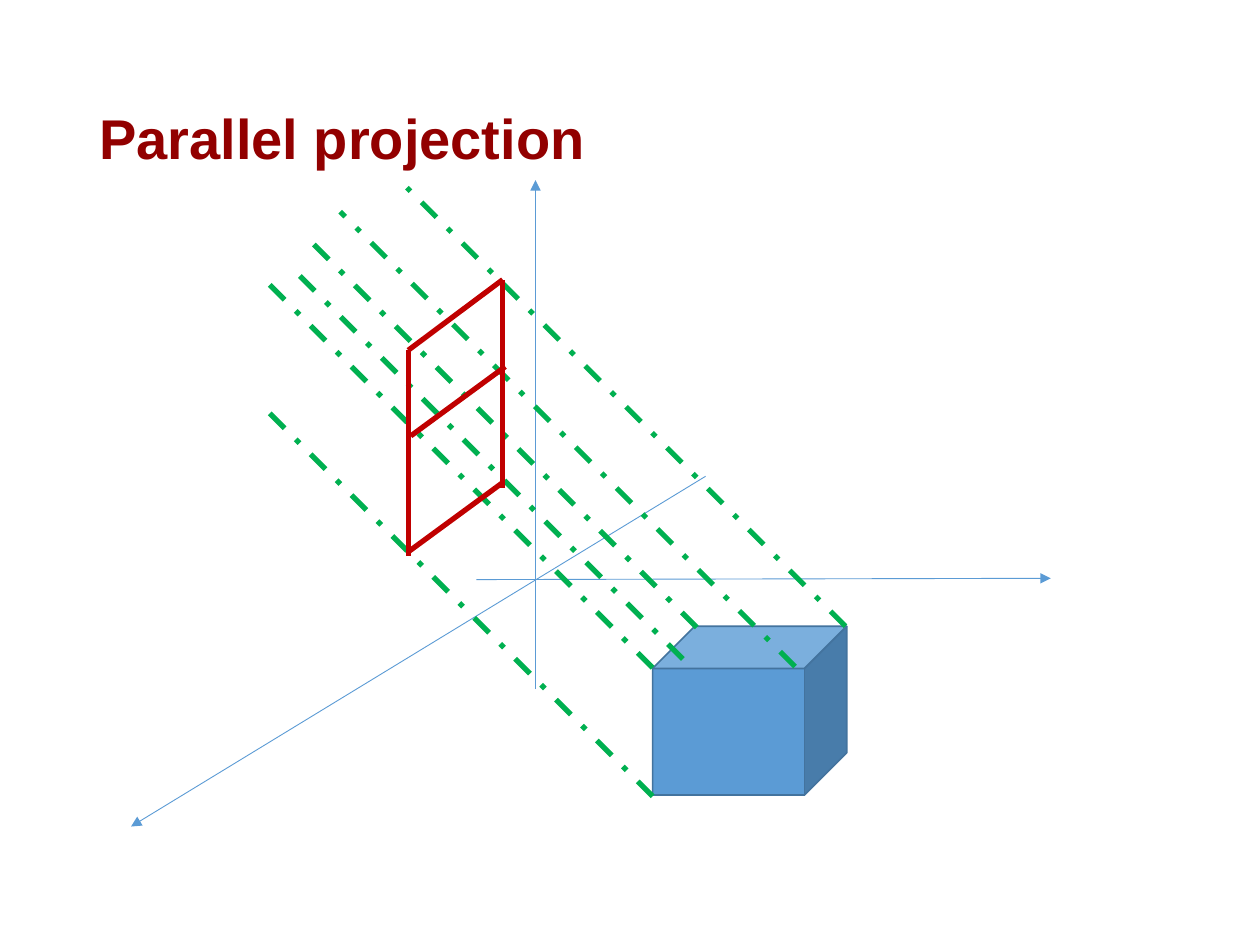
from collections import namedtuple

from lxml.etree import SubElement
from pptx import Presentation
from pptx.dml.color import RGBColor
from pptx.enum.dml import MSO_LINE
from pptx.enum.shapes import MSO_CONNECTOR, MSO_SHAPE
from pptx.enum.text import MSO_ANCHOR
from pptx.oxml.ns import qn
from pptx.util import Inches, Pt

DARK_RED = RGBColor(0x92, 0x00, 0x00)
BLUE = RGBColor(0x5B, 0x9B, 0xD5)
BLUE_EDGE = RGBColor(0x43, 0x73, 0x9E)
GREEN = RGBColor(0x00, 0xB0, 0x50)
RED = RGBColor(0xC0, 0x00, 0x00)

# The slide is a grid of 1000 columns by 750 rows.
COLUMNS, ROWS = 1000, 750
CELL = Inches(0.01)

Box = namedtuple("Box", "left top width height")


def emu(box):
    """Turn grid cells into slide lengths."""
    return [cells * CELL for cells in box]


def add_text(slide, box, text, *, font, size, color, bold=False,
             anchor=MSO_ANCHOR.TOP, line_spacing=1.0):
    frame = slide.shapes.add_textbox(*emu(box)).text_frame
    frame.word_wrap = True
    frame.vertical_anchor = anchor
    paragraph = frame.paragraphs[0]
    paragraph.text = text
    paragraph.line_spacing = line_spacing
    paragraph.font.name = font
    paragraph.font.size = Pt(size)
    paragraph.font.bold = bold
    paragraph.font.color.rgb = color


def add_line(shapes, box, start, end, *, color, width, dash=None, arrow=False):
    """Draw a line between two points measured from the corner of the box."""
    points = [box.left + start[0], box.top + start[1],
              box.left + end[0], box.top + end[1]]
    connector = shapes.add_connector(MSO_CONNECTOR.STRAIGHT, *emu(points))
    connector.line.color.rgb = color
    connector.line.width = Pt(width)
    if dash:
        connector.line.dash_style = dash
    if arrow:
        SubElement(connector.line._get_or_add_ln(), qn("a:tailEnd"), type="triangle")
    SubElement(connector._element.spPr, qn("a:effectLst"))


def add_axes(slide, box):
    axes = [
        ((274, 317), (box.width, 316)),
        ((456, 235), (0, box.height)),
        ((321, 404), (321, 0)),
    ]
    for start, end in axes:
        add_line(slide.shapes, box, start, end, color=BLUE, width=0.5, arrow=True)


def add_cube(slide, box):
    cube = slide.shapes.add_shape(MSO_SHAPE.CUBE, *emu(box))
    cube.shadow.inherit = False
    cube.fill.solid()
    cube.fill.fore_color.rgb = BLUE
    cube.line.color.rgb = BLUE_EDGE
    cube.line.width = Pt(1)


def add_projectors(slide, cube_box):
    """Send parallel rays up and left at 45 degrees from the cube's corners."""
    group = slide.shapes.add_group_shape()
    rays = [(0, 135, 308), (113, 32, 361), (0, 33, 308),
            (153, 0, 348), (35, 1, 307), (24, 26, 307)]
    for column, row, reach in rays:
        add_line(group.shapes, cube_box, (column, row), (column - reach, row - reach),
                 color=GREEN, width=3, dash=MSO_LINE.DASH_DOT)


def add_projected_outline(slide, box):
    group = slide.shapes.add_group_shape()
    edges = [
        ((0, box.height), (0, 56)),
        ((box.width, 165), (box.width, 0)),
        ((0, 56), (box.width, 0)),
        ((0, 216), (box.width, 161)),
        ((2, 124), (box.width + 2, 69)),
    ]
    for start, end in edges:
        add_line(group.shapes, box, start, end, color=RED, width=3)


def main():
    presentation = Presentation()
    presentation.slide_width = COLUMNS * CELL
    presentation.slide_height = ROWS * CELL
    slide = presentation.slides.add_slide(presentation.slide_layouts[6])

    cube_box = Box(518, 497, 154, 134)
    add_text(slide, Box(69, 40, 862, 145), "Parallel projection", font="Arial",
             size=32, color=DARK_RED, bold=True, anchor=MSO_ANCHOR.MIDDLE,
             line_spacing=0.9)
    add_axes(slide, Box(104, 143, 730, 513))
    add_cube(slide, cube_box)
    add_projectors(slide, cube_box)
    add_projected_outline(slide, Box(324, 222, 75, 219))
    presentation.save("out.pptx")


if __name__ == "__main__":
    main()
